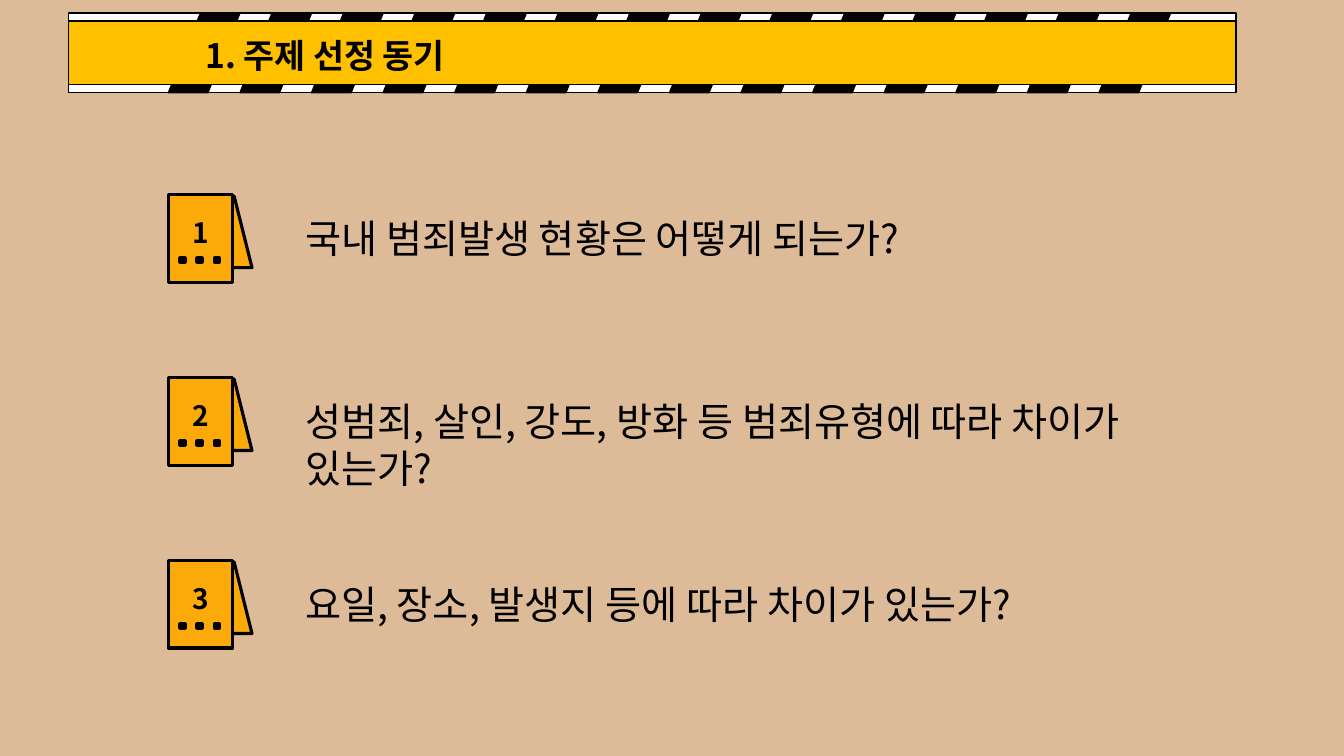
"""Build the slide that lists three questions behind the choice of topic."""
import pptx
import pptx.dml.color
import pptx.enum.shapes
import pptx.enum.text
import pptx.oxml.ns
import pptx.util
from lxml import etree

CELL = pptx.util.Inches(0.1)
FACE = "Noto Sans CJK KR"
BLACK, WHITE, GOLD, ORANGE, SAND = "000000", "FFFFFF", "FFC000", "FBAA09", "DDBB98"
KINDS = pptx.enum.shapes.MSO_SHAPE
color = pptx.dml.color.RGBColor.from_string


def draw(shapes, kind, cells, fill, line_width=1):
    """Add a filled, black-edged shape placed in grid cells."""
    shape = shapes.add_shape(kind, *(round(cell * CELL) for cell in cells))
    shape.shadow.inherit = False
    shape.fill.solid()
    shape.fill.fore_color.rgb = color(fill)
    shape.line.color.rgb = color(BLACK)
    shape.line.width = pptx.util.Pt(line_width)
    return shape


def write(shapes, cells, words, size, bold=False):
    """Add a line of text placed in grid cells."""
    frame = shapes.add_textbox(*(round(cell * CELL) for cell in cells)).text_frame
    layout = {"word_wrap": True, "auto_size": pptx.enum.text.MSO_AUTO_SIZE.SHAPE_TO_FIT_TEXT}
    for key, value in layout.items():
        setattr(frame, key, value)
    run = frame.paragraphs[0].add_run()
    run.text = words
    run.font.color.rgb = color(BLACK)
    for key, value in {"name": FACE, "size": pptx.util.Pt(size), "bold": bold}.items():
        setattr(run.font, key, value)
    east_asian = etree.SubElement(run._r.get_or_add_rPr(), pptx.oxml.ns.qn("a:ea"))
    east_asian.set("typeface", FACE)


deck = pptx.Presentation()
deck.slide_width = pptx.util.Inches(13.33)
deck.slide_height = pptx.util.Inches(7.5)
slide = deck.slides.add_slide(deck.slide_layouts[6])
slide.background.fill.solid()
slide.background.fill.fore_color.rgb = color(SAND)

for tape_top in (1.3, 8.4):
    draw(slide.shapes, KINDS.RECTANGLE, (6.8, tape_top, 115.8, 0.8), WHITE)
for column in range(14):
    stripe = draw(slide.shapes, KINDS.PARALLELOGRAM, (16.7 + 7.1 * column, 1.3, 7.1, 7.9), BLACK)
    stripe.adjustments[0] = 0.448
draw(slide.shapes, KINDS.RECTANGLE, (6.8, 2.1, 115.8, 6.3), GOLD)
write(slide.shapes, (19.4, 3, 102.8, 5), "1. 주제 선정 동기", 24, True)

questions = (
    ("국내 범죄발생 현황은 어떻게 되는가?", 72.5),
    ("성범죄, 살인, 강도, 방화 등 범죄유형에 따라 차이가 있는가?", 94.2),
    ("요일, 장소, 발생지 등에 따라 차이가 있는가?", 83),
)
for row, (question, width) in enumerate(questions):
    top = 19.3 + 18.15 * row
    entry = slide.shapes.add_group_shape().shapes
    stand = draw(entry, KINDS.PARALLELOGRAM, (17.3, top + 0.15, 7.7, 7.1), ORANGE, 2.25)
    stand._element.spPr.get_or_add_xfrm().set("flipH", "1")
    draw(entry, KINDS.RECTANGLE, (16.7, top, 6.4, 8.7), ORANGE, 2.25)
    write(entry, (18.1, top + 1.55, 3.9, 4.4), str(row + 1), 20, True)
    for dot in range(3):
        draw(entry, KINDS.RECTANGLE, (17.9 + 1.7 * dot, top + 6.3, 0.4, 0.4), BLACK, 3)
    write(entry, (29.3, top + 1.45, width, 5.7), question, 28)

deck.save("out.pptx")
